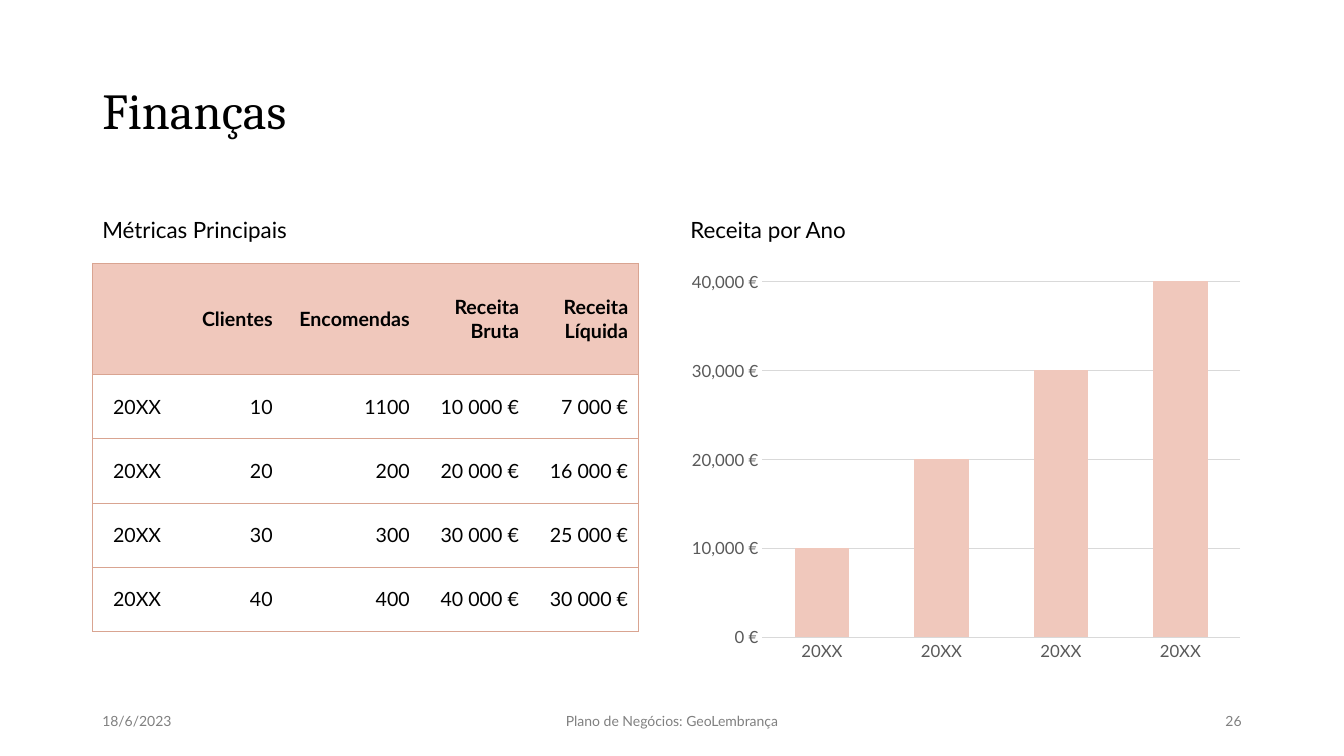
from lxml import etree
from pptx import Presentation
from pptx.chart.data import CategoryChartData
from pptx.dml.color import RGBColor
from pptx.enum.chart import XL_CHART_TYPE, XL_TICK_MARK
from pptx.enum.text import MSO_ANCHOR, PP_ALIGN
from pptx.oxml.ns import qn
from pptx.util import Pt

COLUMNS = XL_CHART_TYPE.COLUMN_CLUSTERED
NO_TICK = XL_TICK_MARK.NONE
MIDDLE = MSO_ANCHOR.MIDDLE
LEFT, CENTER, RIGHT = PP_ALIGN.LEFT, PP_ALIGN.CENTER, PP_ALIGN.RIGHT

BLACK = RGBColor(0x00, 0x00, 0x00)
PINK = RGBColor(0xF0, 0xC8, 0xBC)
ROSE = RGBColor(0xD9, 0xA4, 0x91)
GRID_GRAY = RGBColor(0xD9, 0xD9, 0xD9)
AXIS_GRAY = RGBColor(0x59, 0x59, 0x59)
FOOTER_GRAY = RGBColor(0x80, 0x80, 0x80)

LEFT_EDGE, RIGHT_COLUMN = 66, 486
BODY_TOP = 188

deck = Presentation()
deck.slide_width, deck.slide_height = Pt(960), Pt(540)
page = deck.slides.add_slide(deck.slide_layouts[6])


def write(frame, text, size, color, align, font="Lato", bold=False):
    para = frame.paragraphs[0]
    para.alignment = align
    span = para.add_run()
    span.text = text
    span.font.name = font
    span.font.size = Pt(size)
    span.font.bold = bold
    span.font.color.rgb = color
    return para


def add_border(cell, side, position, visible):
    line = etree.Element(qn("a:ln" + side), w=str(Pt(0.5)))
    if visible:
        fill = etree.SubElement(line, qn("a:solidFill"))
        etree.SubElement(fill, qn("a:srgbClr"), val=str(ROSE))
    else:
        etree.SubElement(line, qn("a:noFill"))
    cell._tc.get_or_add_tcPr().insert(position, line)


texts = [
    ("Finanças", LEFT_EDGE, 56, 828, 50.4, 36, "Cambria", BLACK, LEFT),
    ("Métricas Principais", LEFT_EDGE, 143.3, 406, 43.2, 16, "Lato", BLACK, LEFT),
    ("Receita por Ano", RIGHT_COLUMN, 143.3, 408, 43.2, 16, "Lato", BLACK, LEFT),
    ("18/6/2023", LEFT_EDGE, 500.5, 216, 28.8, 10, "Lato", FOOTER_GRAY, LEFT),
    ("Plano de Negócios: GeoLembrança", 318, 500.5, 324, 28.8, 10, "Lato", FOOTER_GRAY, CENTER),
    ("26", 678, 500.5, 216, 28.8, 10, "Lato", FOOTER_GRAY, RIGHT),
]
for text, left, top, width, height, size, font, color, align in texts:
    box = page.shapes.add_textbox(Pt(left), Pt(top), Pt(width), Pt(height))
    frame = box.text_frame
    frame.word_wrap = True
    frame.vertical_anchor = MIDDLE
    para = write(frame, text, size, color, align, font)
    if size > 10:
        para.line_spacing = 0.9

metrics = [
    ["", "Clientes", "Encomendas", "Receita Bruta", "Receita Líquida"],
    ["20XX", "10", "1100", "10 000 €", "7 000 €"],
    ["20XX", "20", "200", "20 000 €", "16 000 €"],
    ["20XX", "30", "300", "30 000 €", "25 000 €"],
    ["20XX", "40", "400", "40 000 €", "30 000 €"],
]
widths = [64, 72, 98, 78, 78]
heights = [79.5] + [45.9] * 4
table = page.shapes.add_table(
    len(heights), len(widths), Pt(LEFT_EDGE), Pt(BODY_TOP), Pt(sum(widths)), Pt(sum(heights))
).table
table.horz_banding = False
for column, width in zip(table.columns, widths):
    column.width = Pt(width)
for row, height in zip(table.rows, heights):
    row.height = Pt(height)

for r, values in enumerate(metrics):
    for c, value in enumerate(values):
        cell = table.cell(r, c)
        cell.vertical_anchor = MIDDLE
        if r == 0:
            cell.fill.solid()
            cell.fill.fore_color.rgb = PINK
        else:
            cell.fill.background()
        if value:
            write(cell.text_frame, value, 14, BLACK, RIGHT if c else CENTER, bold=r == 0)
        edges = {"L": c == 0, "R": c == len(widths) - 1, "T": True, "B": True}
        for position, (side, visible) in enumerate(edges.items()):
            add_border(cell, side, position, visible)

revenue = CategoryChartData()
revenue.categories = ["20XX"] * 4
revenue.add_series("Series 1", [10000, 20000, 30000, 40000])
chart = page.shapes.add_chart(
    COLUMNS, Pt(RIGHT_COLUMN), Pt(BODY_TOP), Pt(408), Pt(290), revenue
).chart
chart.has_title = False
chart.has_legend = False
chart.font.name = "Lato"
chart.font.size = Pt(10)
chart.font.color.rgb = BLACK

plot = chart.plots[0]
plot.vary_by_categories = False
plot.gap_width = 118
plot.overlap = -3
bars = plot.series[0].format.fill
bars.solid()
bars.fore_color.rgb = PINK

year_axis, value_axis = chart.category_axis, chart.value_axis
for axis in (year_axis, value_axis):
    axis.major_tick_mark = NO_TICK
    axis.minor_tick_mark = NO_TICK
    axis.tick_labels.font.name = "Lato"
    axis.tick_labels.font.size = Pt(12)
    axis.tick_labels.font.color.rgb = AXIS_GRAY

value_axis.minimum_scale = 0
value_axis.maximum_scale = 40000
value_axis.major_unit = 10000
value_axis.tick_labels.number_format = '#,##0\\ "€"'
value_axis.tick_labels.number_format_is_linked = False
value_axis.format.line.fill.background()
value_axis.has_major_gridlines = True
for line in (year_axis.format.line, value_axis.major_gridlines.format.line):
    line.color.rgb = GRID_GRAY
    line.width = Pt(0.75)

deck.save("out.pptx")
